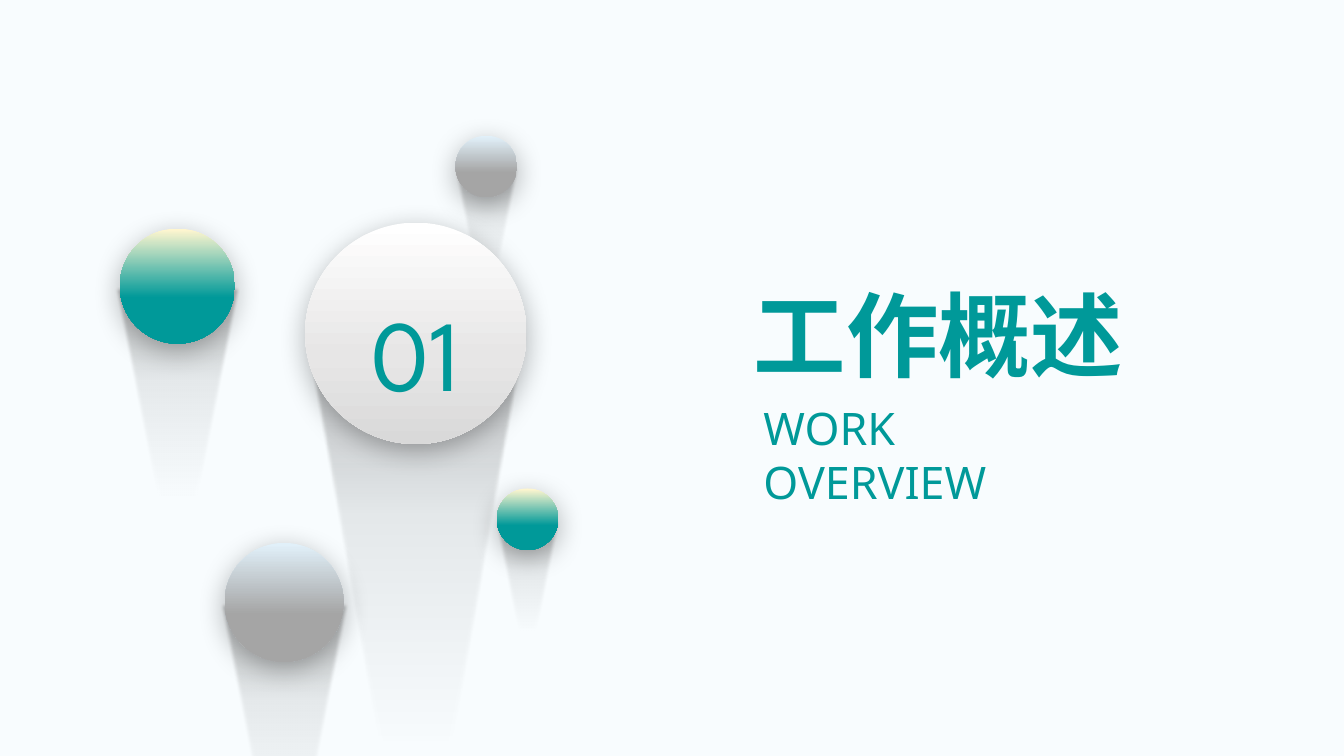
from dataclasses import dataclass

from lxml import etree
from pptx import Presentation
from pptx.dml.color import RGBColor
from pptx.enum import shapes, text
from pptx.oxml import ns
from pptx.util import Cm, Pt


@dataclass(frozen=True)
class Theme:
    background: str = "F8FCFE"
    accent: str = "009999"
    number_font: str = "League Spartan"
    text_font: str = "Noto Sans"
    number_size: int = 72
    title_size: int = 66
    subtitle_size: int = 32
    # Gradient stops: position %, colour, opacity %
    teal: tuple = ((1, "FFF6CF", 100), (60, "009999", 100), (100, "009999", 100))
    grey: tuple = ((1, "E1F0F9", 100), (60, "A5A5A5", 100), (100, "A5A5A5", 100))
    white: tuple = ((0, "FFFFFF", 100), (60, "E7E6E6", 100), (100, "D9D9D9", 100))
    tail: tuple = ((0, "262626", 30), (30, "000000", 8), (50, "000000", 4), (70, "000000", 0))


THEME = Theme()

# Tail in a unit box: two cubic curves, from the right rim to the tip and back up
TAIL_CURVES = (
    ((0.83, 0.33), (0.54, 1.02), (0.5, 1)),
    ((0.46, 1.02), (0.17, 0.33), (0, 0)),
)
TAIL_LENGTH = 2.71  # in ball diameters


def add_xml(parent, tag, **attributes):
    return etree.SubElement(parent, ns.qn(tag), {k: str(v) for k, v in attributes.items()})


def add_colour(parent, colour, opacity):
    node = add_xml(parent, "a:srgbClr", val=colour)
    if opacity < 100:
        add_xml(node, "a:alpha", val=opacity * 1000)


def paint(shape, stops):
    """Fill downwards with a gradient, without outline; return the effect list."""
    shape.shadow.inherit = False
    shape.line.fill.background()
    shape.fill.gradient()
    gradient = shape._element.spPr.find(ns.qn("a:gradFill"))
    for child in list(gradient):
        gradient.remove(child)
    stop_list = add_xml(gradient, "a:gsLst")
    for position, colour, opacity in stops:
        add_colour(add_xml(stop_list, "a:gs", pos=position * 1000), colour, opacity)
    add_xml(gradient, "a:lin", ang=90 * 60000, scaled=0)
    return shape._element.spPr.find(ns.qn("a:effectLst"))


def format_text(paragraph, font, size, bold=False):
    for run in paragraph.runs:
        run.font.name = font
        run.font.size = Pt(size)
        run.font.bold = bold
        run.font.color.rgb = RGBColor.from_string(THEME.accent)
        add_xml(run._r.get_or_add_rPr(), "a:ea", typeface=font)


def add_tail(slide, left, top, width, height):
    left, top, width, height = Cm(left), Cm(top), Cm(width), Cm(height)
    builder = slide.shapes.build_freeform(left + width, top)
    builder.add_line_segments([(left + x * width, top + y * height)
                               for *_, (x, y) in TAIL_CURVES], close=True)
    tail = builder.convert_to_shape()

    # Bend the two straight sides into curves
    sides = list(tail._element.spPr.iter(ns.qn("a:lnTo")))
    for side, curve in zip(sides, TAIL_CURVES):
        bend = etree.Element(ns.qn("a:cubicBezTo"))
        for x, y in curve:
            add_xml(bend, "a:pt", x=round(x * width), y=round(y * height))
        side.getparent().replace(side, bend)
    add_xml(paint(tail, THEME.tail), "a:softEdge", rad=Pt(2.5))


def add_ball(slide, left, top, diameter, stops, tail_ratio=1.11):
    """A ball in its square box, with a tail falling from its middle."""
    tail_width = diameter * tail_ratio
    add_tail(slide, left + (diameter - tail_width) / 2, top + diameter / 2,
             tail_width, diameter * TAIL_LENGTH)
    ball = slide.shapes.add_shape(shapes.MSO_SHAPE.OVAL, Cm(left), Cm(top),
                                  Cm(diameter), Cm(diameter))
    shadow = add_xml(paint(ball, stops), "a:outerShdw", blurRad=Pt(20), dist=Pt(5),
                     dir=90 * 60000, algn="t", rotWithShape=0)
    add_colour(shadow, "000000", 30)
    return ball


def add_number_ball(slide, left, top, diameter, number):
    ball = add_ball(slide, left, top, diameter, THEME.white, tail_ratio=1.01)
    frame = ball.text_frame
    frame.text = number
    frame.vertical_anchor = text.MSO_ANCHOR.MIDDLE
    paragraph = frame.paragraphs[0]
    paragraph.alignment = text.PP_ALIGN.CENTER
    paragraph.line_spacing = 1.3
    format_text(paragraph, THEME.number_font, THEME.number_size)


def add_balls(slide, left, top):
    """Falling balls, from back to front."""
    add_ball(slide, left + 8.46, top, 1.55, THEME.grey)
    add_number_ball(slide, left + 4.67, top + 2.19, 5.58, "01")
    add_ball(slide, left + 2.64, top + 10.26, 3, THEME.grey)
    add_ball(slide, left + 9.5, top + 8.89, 1.55, THEME.teal)
    add_ball(slide, left, top + 2.34, 2.9, THEME.teal)


def add_heading(slide, left, top, width):
    # Section title
    title = slide.shapes.title
    title.left, title.top, title.width, title.height = Cm(left), Cm(top), Cm(width), Cm(3.07)
    frame = title.text_frame
    frame.text = "工作概述"
    frame.word_wrap = False
    frame.auto_size = text.MSO_AUTO_SIZE.SHAPE_TO_FIT_TEXT
    frame.vertical_anchor = text.MSO_ANCHOR.BOTTOM
    frame.paragraphs[0].alignment = text.PP_ALIGN.LEFT
    format_text(frame.paragraphs[0], THEME.text_font, THEME.title_size, bold=True)

    # English subtitle
    subtitle = slide.shapes.add_textbox(Cm(left + 0.25), Cm(top + 3.1), Cm(width - 0.53), Cm(1.63))
    frame = subtitle.text_frame
    frame.text = "WORK OVERVIEW"
    frame.word_wrap = True
    frame.auto_size = text.MSO_AUTO_SIZE.SHAPE_TO_FIT_TEXT
    format_text(frame.paragraphs[0], THEME.text_font, THEME.subtitle_size)


def add_section_slide(deck):
    slide = deck.slides.add_slide(deck.slide_layouts[5])
    background = slide.background.fill
    background.solid()
    background.fore_color.rgb = RGBColor.from_string(THEME.background)
    add_balls(slide, left=3.02, top=3.42)
    add_heading(slide, left=18.74, top=6.87, width=10.16)


def main():
    deck = Presentation()
    deck.slide_width, deck.slide_height = Cm(33.87), Cm(19.05)
    add_section_slide(deck)
    deck.save("out.pptx")


if __name__ == "__main__":
    main()
